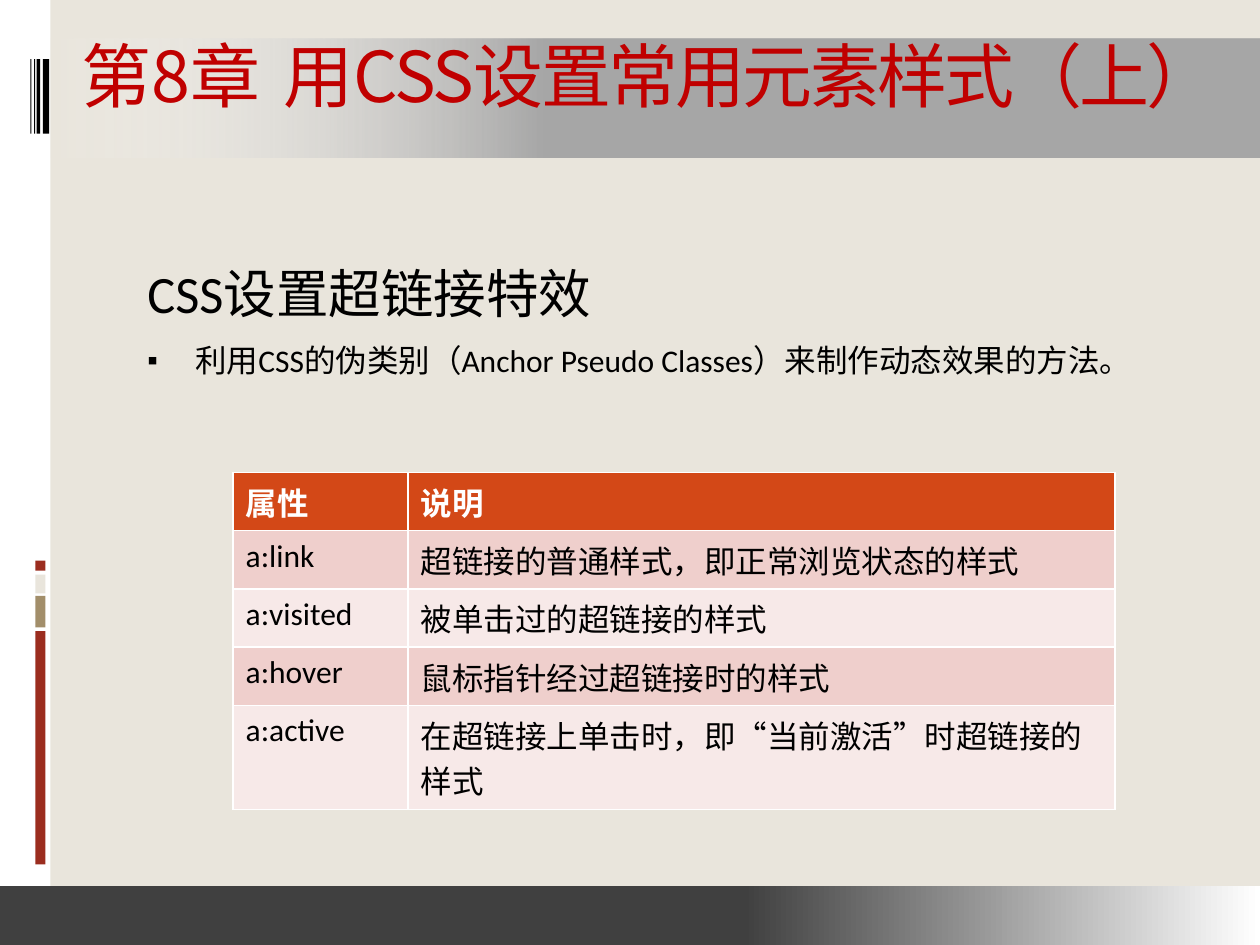
from lxml import etree
from pptx import Presentation
from pptx import util as u
from pptx.dml.color import RGBColor
from pptx.enum import shapes, text
from pptx.oxml.ns import qn


def color(value):
    return RGBColor.from_string(value)


def write(para, content, size=18, font="Calibri", ink="000000", bold=False, spacing=None):
    span = para.add_run()
    span.text = content
    span.font.size = u.Pt(size)
    span.font.name = font
    span.font.bold = bold
    span.font.color.rgb = color(ink)
    props = span.font._element
    etree.SubElement(props, qn("a:ea"), typeface="Noto Sans CJK SC")
    if spacing is not None:
        props.set("spc", str(int(spacing * 100)))


deck = Presentation()
deck.slide_width, deck.slide_height = u.Inches(10), u.Inches(7.5)
page = deck.slides.add_slide(deck.slide_layouts[1])
page.background.fill.solid()
page.background.fill.fore_color.rgb = color("E9E5DC")

bars = [
    (0, 0, 0.4, 7.5, "FFFFFF"),
    (0.28, 5.01, 0.08, 1.85, "9B2D1F"),
    (0.28, 4.73, 0.08, 0.25, "A28E6A"),
    (0.28, 4.56, 0.08, 0.15, "E9E5DC"),
    (0.28, 4.45, 0.08, 0.08, "9B2D1F"),
]
stripes = [(0.34, 0.05), (0.29, 0.03), (0.27, 0.01), (0.24, 0.01)]
bars += [(left, 0.47, width, 0.59, "000000") for left, width in stripes]
for left, top, width, height, fill in bars:
    bar = page.shapes.add_shape(
        shapes.MSO_SHAPE.RECTANGLE,
        u.Inches(left), u.Inches(top), u.Inches(width), u.Inches(height))
    bar.shadow.inherit = False
    bar.fill.solid()
    bar.fill.fore_color.rgb = color(fill)
    bar.line.fill.background()

bands = [
    (0.39, 0.31, 9.61, 0.94, 180, "A6A6A6", 0),
    (0, 7.03, 10, 0.47, 0, "404040", 100),
]
for left, top, width, height, turn, start, opacity in bands:
    band = page.shapes.add_shape(
        shapes.MSO_SHAPE.RECTANGLE,
        u.Inches(left), u.Inches(top), u.Inches(width), u.Inches(height))
    band.shadow.inherit = False
    band.rotation = turn
    band.line.fill.background()
    band.fill.gradient()
    band.fill.gradient_angle = 0
    near, far = band.fill.gradient_stops
    near.position, far.position = 0.59, 1
    near.color.rgb, far.color.rgb = color(start), color("FFFFFF")
    if opacity < 100:
        tint = band._element.findall(".//" + qn("a:srgbClr"))[-1]
        etree.SubElement(tint, qn("a:alpha"), val=str(opacity * 1000))

title, body = page.shapes.title, page.placeholders[1]
places = [(title, 0.55, 0.31, 9.45, 0.77), (body, 1, 1.95, 8.5, 5)]
for box, left, top, width, height in places:
    box.left, box.top = u.Inches(left), u.Inches(top)
    box.width, box.height = u.Inches(width), u.Inches(height)
    box.text_frame.word_wrap = True
    box.text_frame.auto_size = text.MSO_AUTO_SIZE.NONE
    box.text_frame.vertical_anchor = text.MSO_ANCHOR.TOP
    page.shapes._spTree.append(box._element)

para = title.text_frame.paragraphs[0]
para.alignment = text.PP_ALIGN.LEFT
para.line_spacing = 0.85
write(para, "第8章  用CSS设置常用元素样式（上）", size=40,
      font="Noto Sans CJK SC", ink="C00000", spacing=-1.5)

lines = [
    ("CSS设置超链接特效", 30, 0.07, 0, None),
    ("利用CSS的伪类别（Anchor Pseudo Classes）来制作动态效果的方法。", 18, 0.45, -0.38, "▪"),
]
for number, (content, size, margin, indent, bullet) in enumerate(lines):
    para = body.text_frame.add_paragraph() if number else body.text_frame.paragraphs[0]
    para.line_spacing = 1.14
    para.space_before = u.Pt(7)
    props = para._p.get_or_add_pPr()
    props.set("marL", str(u.Inches(margin)))
    props.set("indent", str(u.Inches(indent)))
    if bullet:
        etree.SubElement(props, qn("a:buSzPct"), val="95000")
        etree.SubElement(props, qn("a:buChar"), char=bullet)
    else:
        etree.SubElement(props, qn("a:buNone"))
    write(para, content, size=size)

rows = [
    ("属性", "说明"),
    ("a:link", "超链接的普通样式，即正常浏览状态的样式"),
    ("a:visited", "被单击过的超链接的样式"),
    ("a:hover", "鼠标指针经过超链接时的样式"),
    ("a:active", "在超链接上单击时，即“当前激活”时超链接的样式"),
]
table = page.shapes.add_table(
    len(rows), 2, u.Inches(1.85), u.Inches(3.75), u.Inches(7), u.Inches(1.84)).table
table.columns[0].width, table.columns[1].width = u.Inches(1.39), u.Inches(5.61)
for number, row in enumerate(rows):
    header = number == 0
    table.rows[number].height = u.Inches(0.16 if header else 0.42)
    fill = "D34817" if header else ("F7E9E8", "EFCFCC")[number % 2]
    for column, content in enumerate(row):
        cell = table.cell(number, column)
        cell.fill.solid()
        cell.fill.fore_color.rgb = color(fill)
        write(cell.text_frame.paragraphs[0], content,
              ink="FFFFFF" if header else "000000", bold=header)

deck.save("out.pptx")
